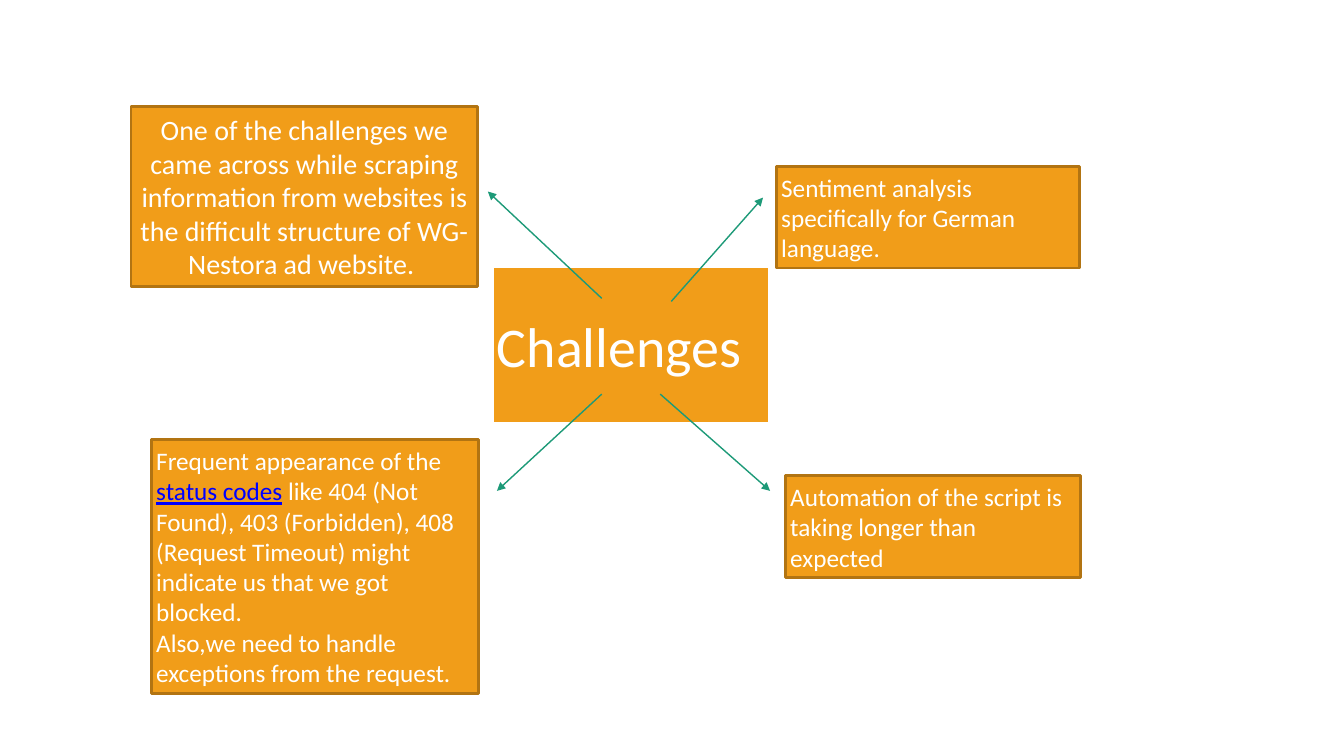
from dataclasses import dataclass

from lxml import etree
from pptx import Presentation
from pptx.dml.color import RGBColor
from pptx.enum.shapes import MSO_CONNECTOR, MSO_SHAPE
from pptx.enum.text import MSO_ANCHOR, MSO_AUTO_SIZE, PP_ALIGN
from pptx.oxml.ns import qn
from pptx.util import Pt

RECTANGLE = MSO_SHAPE.RECTANGLE
STRAIGHT = MSO_CONNECTOR.STRAIGHT
LEFT, CENTER = PP_ALIGN.LEFT, PP_ALIGN.CENTER

ORANGE = RGBColor(0xF1, 0x9D, 0x19)
BROWN = RGBColor(0xB2, 0x74, 0x12)
GREEN = RGBColor(0x1D, 0x9A, 0x78)
WHITE = RGBColor(0xFF, 0xFF, 0xFF)
LINK_BLUE = RGBColor(0x00, 0x00, 0xFF)

INSET = Pt(3.6)
FRAME_FORMAT = {
    "word_wrap": True,
    "auto_size": MSO_AUTO_SIZE.SHAPE_TO_FIT_TEXT,
    "vertical_anchor": MSO_ANCHOR.MIDDLE,
    "margin_left": INSET,
    "margin_top": INSET,
    "margin_right": INSET,
    "margin_bottom": INSET,
}
PLAIN = {"name": "Calibri", "underline": False}
LINKED = {"name": "Calibri", "underline": True}


@dataclass(frozen=True)
class Phrase:
    text: str
    linked: bool = False
    breaks_before: bool = False


@dataclass(frozen=True)
class Challenge:
    left: float
    top: float
    width: float
    height: float
    phrases: tuple[Phrase, ...]
    size: float = 18
    align: PP_ALIGN = LEFT


@dataclass(frozen=True)
class Arrow:
    start: tuple[float, float]
    end: tuple[float, float]


TOPIC = Challenge(351.36, 215.28, 198.72, 61.92, (Phrase("Challenges"),), 40)

CHALLENGES = (
    Challenge(93.6, 76.32, 247.68, 128.16, (
        Phrase("One of the challenges we came across while scraping information "
               "from websites is the difficult structure of WG-Nestora ad website. "),
    ), 20, CENTER),
    Challenge(560.88, 339.84, 210.96, 72.72, (
        Phrase("Automation of the script is taking longer than expected"),
    )),
    Challenge(108, 313.92, 234, 181.44, (
        Phrase("Frequent appearance of the "),
        Phrase("status codes", linked=True),
        Phrase(" like 404 (Not Found), 403 (Forbidden), 408 (Request Timeout) "
               "might indicate us that we got blocked."),
        Phrase("Also,we need to handle exceptions from the request.",
               breaks_before=True),
    )),
    Challenge(554.4, 118.8, 216.72, 72.72, (
        Phrase("Sentiment analysis specifically for German language."),
    )),
)

ARROWS = (
    Arrow((429.84, 213.12), (348.48, 136.8)),
    Arrow((471.6, 281.52), (550.08, 350.64)),
    Arrow((429.84, 281.52), (354.96, 350.64)),
    Arrow((479.52, 215.28), (545.04, 141.12)),
)


def apply_format(target, values: dict) -> None:
    for attribute, value in values.items():
        setattr(target, attribute, value)


def paint(shape, border: RGBColor, border_width: float) -> None:
    shape.fill.solid()
    shape.fill.fore_color.rgb = ORANGE
    shape.line.color.rgb = border
    shape.line.width = Pt(border_width)


def write(shape, challenge: Challenge) -> None:
    frame = shape.text_frame
    apply_format(frame, FRAME_FORMAT)
    paragraph = frame.paragraphs[0]
    paragraph.alignment = challenge.align
    paragraph.font.size = Pt(challenge.size)
    for phrase in challenge.phrases:
        if phrase.breaks_before:
            paragraph.add_line_break()
        run = paragraph.add_run()
        run.text = phrase.text
        apply_format(run.font, LINKED if phrase.linked else PLAIN)
        run.font.size = Pt(challenge.size)
        run.font.color.rgb = LINK_BLUE if phrase.linked else WHITE


def box(challenge: Challenge) -> tuple:
    return tuple(map(Pt, (challenge.left, challenge.top,
                          challenge.width, challenge.height)))


def add_topic(slide) -> None:
    """Turn the title placeholder into the rounded hub of the diagram."""
    title = slide.shapes.title
    title.left, title.top, title.width, title.height = box(TOPIC)
    outline = etree.SubElement(title.element.spPr, qn("a:prstGeom"), prst="roundRect")
    etree.SubElement(outline, qn("a:avLst"))
    paint(title, WHITE, 3)
    write(title, TOPIC)


def add_challenge(slide, challenge: Challenge) -> None:
    shape = slide.shapes.add_shape(RECTANGLE, *box(challenge))
    shape.shadow.inherit = False
    paint(shape, BROWN, 2)
    write(shape, challenge)


def add_arrow(slide, arrow: Arrow) -> None:
    connector = slide.shapes.add_connector(
        STRAIGHT, *map(Pt, arrow.start + arrow.end))
    connector.line.color.rgb = GREEN
    connector.line.width = Pt(1)
    properties = connector.element.spPr
    etree.SubElement(properties.find(qn("a:ln")), qn("a:tailEnd"), type="triangle")
    etree.SubElement(properties, qn("a:effectLst"))


def main() -> None:
    presentation = Presentation()
    presentation.slide_width, presentation.slide_height = Pt(960), Pt(540)
    title_only = presentation.slide_layouts.get_by_name("Title Only")
    slide = presentation.slides.add_slide(title_only)
    add_topic(slide)
    for challenge in CHALLENGES:
        add_challenge(slide, challenge)
    for arrow in ARROWS:
        add_arrow(slide, arrow)
    presentation.save("out.pptx")


if __name__ == "__main__":
    main()
